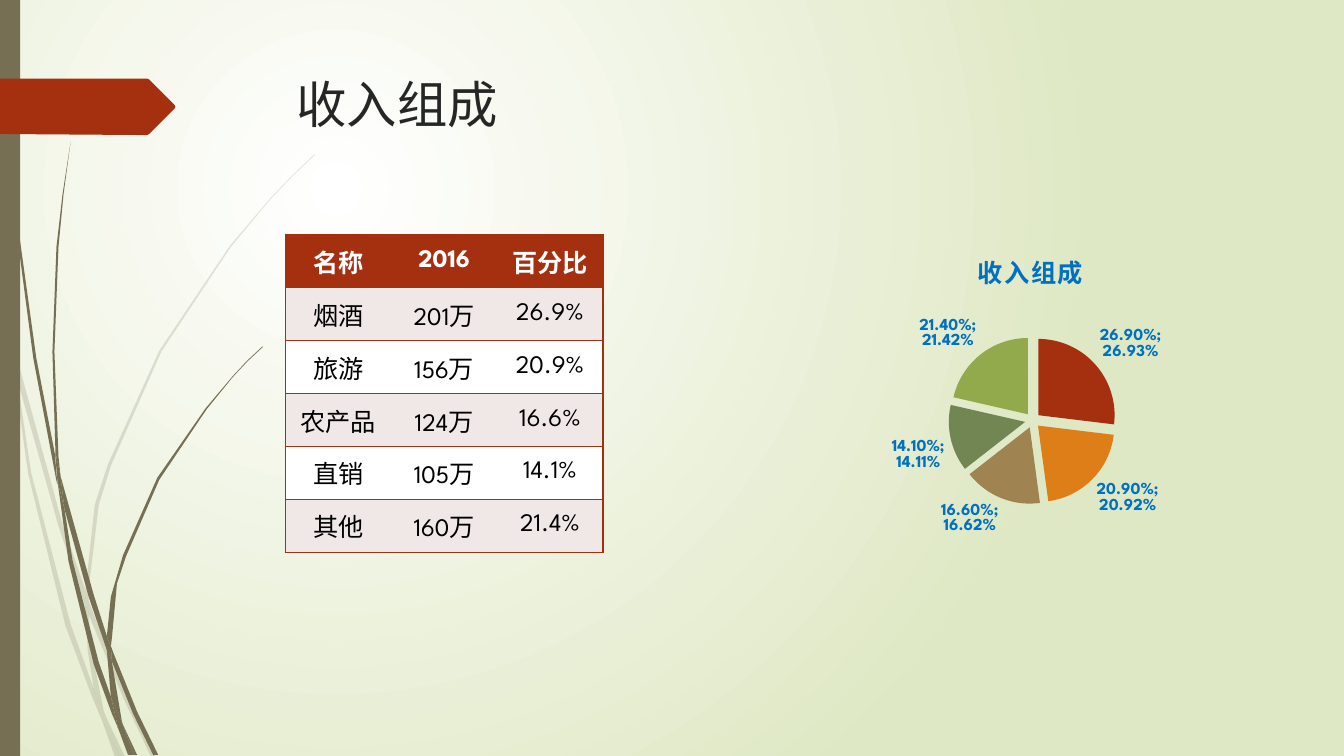
from pptx import Presentation
from pptx.chart.data import CategoryChartData as Data
from pptx.dml.color import RGBColor as RGB
from pptx.enum.chart import XL_CHART_TYPE as Kind, XL_LABEL_POSITION as Pos
from pptx.enum.shapes import MSO_SHAPE as Shape
from pptx.enum.text import MSO_ANCHOR as Anchor, PP_ALIGN as Align
from pptx.oxml import parse_xml as xml
from pptx.oxml.ns import nsdecls, qn
from pptx.util import Pt

PX = 9144  # one px is a hundredth of an inch
FACE = "League Spartan"
RED, OLIVE = RGB(0xA5, 0x30, 0x10), RGB(0x76, 0x6F, 0x54)
BLUE, DARK = RGB(0x00, 0x70, 0xC0), RGB(0x26, 0x26, 0x26)
BLACK, WHITE = RGB(0, 0, 0), RGB(0xFF, 0xFF, 0xFF)
BAND = RGB(0xF0, 0xE8, 0xE7)
SLICES = [RED, RGB(0xDE, 0x7E, 0x18), RGB(0x9F, 0x83, 0x51),
          RGB(0x72, 0x86, 0x53), RGB(0x92, 0xAA, 0x4C)]


def style(font, size, color, bold=False):
    for key, val in {"name": FACE, "size": Pt(size), "bold": bold}.items():
        setattr(font, key, val)
    font.color.rgb = color


def paint(shape, color, alpha=100):
    shape.shadow.inherit = False
    shape.fill.solid()
    shape.fill.fore_color.rgb = color
    shape.line.fill.background()
    if alpha < 100:
        tint = shape.element.spPr.find(".//" + qn("a:srgbClr"))
        tint.append(xml(f'<a:alpha {nsdecls("a")} val="{alpha * 1000}"/>'))


deck = Presentation()
deck.slide_width, deck.slide_height = 1333 * PX, 750 * PX
slide = deck.slides.add_slide(deck.slide_layouts[6])
shapes = slide.shapes

# Background: white glow fading to pale green
slide.background.fill.solid()
back = slide.element.find(".//" + qn("p:bgPr"))
back.replace(back[0], xml(
    f'<a:gradFill {nsdecls("a")} rotWithShape="1"><a:gsLst>'
    '<a:gs pos="0"><a:srgbClr val="FFFFFF"/></a:gs>'
    '<a:gs pos="100000"><a:srgbClr val="DFE8C4"/></a:gs></a:gsLst>'
    '<a:path path="circle"><a:fillToRect l="50000" t="50000" r="100000" b="100000"/>'
    '</a:path></a:gradFill>'))

# Grass blades: outline points of each piece
PALE = [
    [(11, 350), (9, 322), (0, 282), (0, 299), (10, 344)],
    [(58, 522), (84, 599), (85, 586), (62, 520), (14, 345), (17, 376)],
    [(92, 607), (88, 596), (88, 610), (123, 694), (150, 751), (155, 751), (127, 692)],
    [(119, 751), (124, 751), (105, 711)],
    [(93, 683), (70, 619), (31, 469), (17, 376), (11, 350), (28, 470), (65, 621),
     (92, 693), (101, 714), (99, 707)],
    [(84, 599), (87, 646), (93, 683), (96, 692), (105, 711), (103, 706), (91, 646),
     (88, 610), (88, 608)],
    [(88, 584), (98, 501), (110, 462), (160, 349), (229, 245), (268, 198), (290, 175),
     (312, 154), (312, 153), (289, 175), (268, 197), (228, 244), (158, 348),
     (107, 461), (94, 501), (85, 584), (85, 586), (88, 596)],
    [(101, 714), (114, 751), (119, 751)],
    [(88, 608), (88, 610), (88, 596), (85, 586), (84, 599)],
    [(96, 692), (93, 683), (99, 707), (101, 714), (119, 751), (105, 711)],
]
DEEP = [
    [(7, 110), (17, 233), (33, 355), (56, 477), (57, 481), (55, 457), (55, 453),
     (36, 355), (19, 232), (8, 109), (5, 48), (4, 0), (3, 0), (4, 48)],
    [(88, 592), (106, 645), (106, 631), (93, 590), (60, 472), (64, 505)],
    [(113, 649), (110, 641), (111, 656), (132, 708), (152, 749), (157, 749), (136, 706)],
    [(110, 691), (98, 657), (72, 556), (64, 505), (57, 477), (68, 557), (93, 659),
     (111, 708), (117, 722), (116, 717)],
    [(60, 472), (58, 453), (54, 349), (58, 245), (63, 193), (70, 141), (62, 193),
     (56, 245), (52, 349), (55, 449)],
    [(133, 749), (136, 749), (122, 719)],
    [(57, 477), (64, 505), (60, 472), (55, 449), (55, 453)],
    [(111, 633), (116, 579), (125, 552), (158, 476), (205, 406), (231, 374),
     (245, 359), (261, 344), (260, 344), (245, 358), (231, 373), (204, 405),
     (156, 474), (122, 551), (110, 592), (106, 631), (110, 641)],
    [(117, 722), (127, 749), (131, 749)],
    [(106, 645), (110, 691), (116, 706), (122, 719), (121, 716), (111, 656), (109, 651)],
    [(106, 645), (109, 651), (111, 656), (110, 641), (106, 631)],
    [(116, 706), (110, 691), (116, 717), (117, 722), (130, 749), (133, 749), (122, 719)],
]
ARROW = [(173, 108), (148, 133), (146, 134), (136, 134), (0, 133), (0, 78),
         (146, 78), (148, 79), (173, 104), (174, 106)]

# Side bar sits between the grass and the red arrow
for group, color, alpha in [(PALE, OLIVE, 20), (DEEP, OLIVE, 100), ([ARROW], RED, 100)]:
    if color == RED:
        paint(shapes.add_shape(Shape.RECTANGLE, 0, 0, 20 * PX, 750 * PX), OLIVE)
    for points in group:
        pen = shapes.build_freeform(*points[0], scale=PX)
        pen.add_line_segments(points[1:], close=True)
        paint(pen.convert_to_shape(), color, alpha)

# Title
frame = shapes.add_textbox(284 * PX, 68 * PX, 975 * PX, 140 * PX).text_frame
frame.word_wrap = True
run = frame.paragraphs[0].add_run()
run.text = "收入组成"
style(run.font, 36, DARK)

# Income table
ROWS = [("名称", "2016", "百分比"), ("烟酒", "201万", "26.9%"),
        ("旅游", "156万", "20.9%"), ("农产品", "124万", "16.6%"),
        ("直销", "105万", "14.1%"), ("其他", "160万", "21.4%")]
table = shapes.add_table(6, 3, 283 * PX, 233 * PX, 315 * PX, 315 * PX).table
for i, row in enumerate(ROWS):
    for j, text in enumerate(row):
        cell = table.cell(i, j)
        cell.vertical_anchor = Anchor.MIDDLE
        cell.fill.solid()
        cell.fill.fore_color.rgb = RED if i == 0 else BAND if i % 2 else WHITE
        para = cell.text_frame.paragraphs[0]
        para.alignment = Align.CENTER
        run = para.add_run()
        run.text = text
        style(run.font, 18, BLACK if i else WHITE, i == 0)
        sides = {"L": j == 0, "R": j == 2, "T": True, "B": True}
        for k, (side, shown) in enumerate(sides.items()):
            ink = (f'<a:solidFill><a:srgbClr val="{RED}"/></a:solidFill>'
                   if shown else "<a:noFill/>")
            cell._tc.tcPr.insert(k, xml(
                f'<a:ln{side} {nsdecls("a")} w="12700">{ink}</a:ln{side}>'))

# Income pie
data = Data(number_format="0.00%")
data.categories = ["1", "2", "3", "4", "5"]
data.add_series("Series 1", [0.269, 0.209, 0.166, 0.141, 0.214])
chart = shapes.add_chart(Kind.PIE, 786 * PX, 232 * PX, 472 * PX, 315 * PX, data).chart
style(chart.font, 10, BLUE)
chart.has_legend = False
chart.has_title = True
run = chart.chart_title.text_frame.paragraphs[0].add_run()
run.text = "收入组成"
style(run.font, 18, BLUE, True)
run.font._element.set("spc", "100")
chart.chart_title.include_in_layout = False

plot = chart.plots[0]
plot.vary_by_categories = True
pie = plot.series[0]
for i, color in enumerate(SLICES):
    fill = pie.points[i].format.fill
    fill.solid()
    fill.fore_color.rgb = color
pie._element.find(qn("c:dPt")).addprevious(
    xml(f'<c:explosion {nsdecls("c")} val="10"/>'))

labels = pie.data_labels
style(labels.font, 12, BLUE, True)
for key, val in {"show_value": True, "show_percentage": True,
                 "number_format": "0.00%", "number_format_is_linked": False,
                 "position": Pos.OUTSIDE_END}.items():
    setattr(labels, key, val)
labels._element.find(qn("c:showBubbleSize")).addnext(
    xml(f'<c:separator {nsdecls("c")}>; </c:separator>'))

deck.save("out.pptx")
